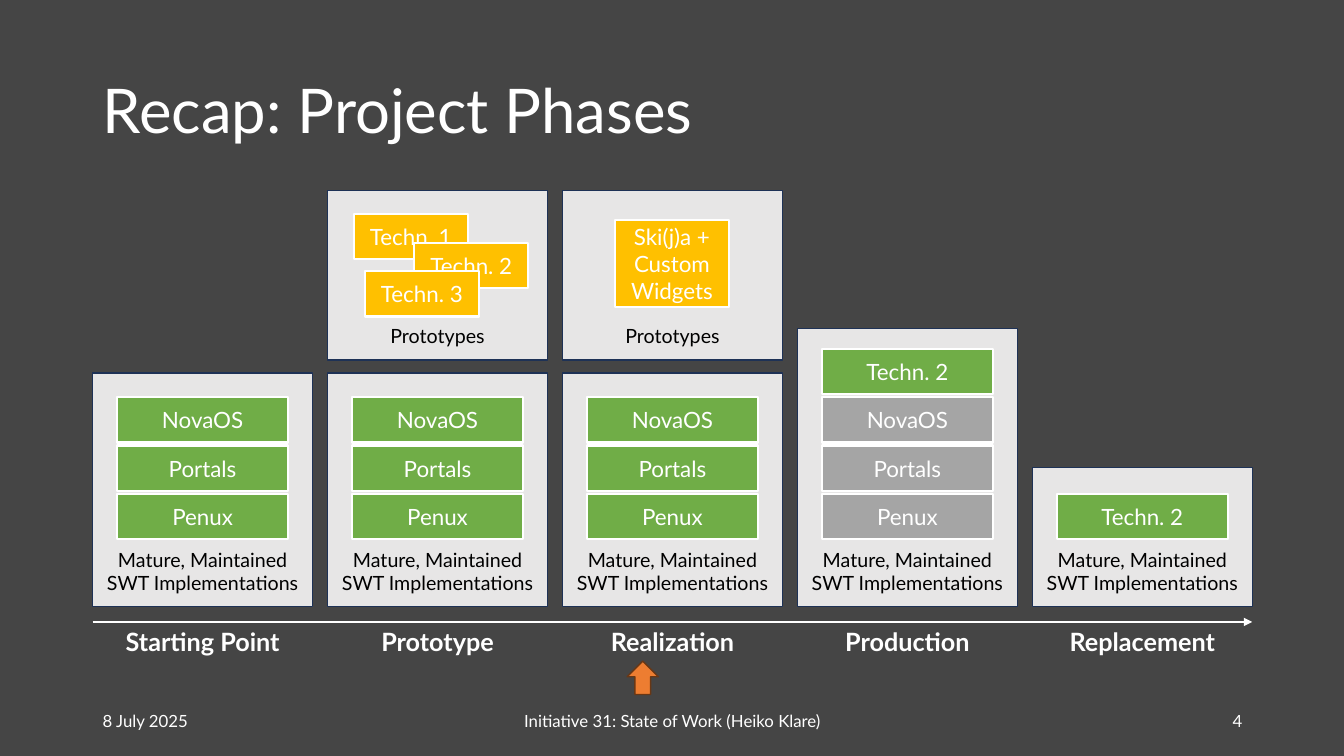
"""Build the project phases slide: five columns of cards above a time line."""
from lxml.etree import SubElement
from pptx import Presentation
from pptx.dml.color import RGBColor
from pptx.enum.shapes import MSO_CONNECTOR as Link, MSO_SHAPE as Kind
from pptx.enum.text import MSO_ANCHOR as Anchor, PP_ALIGN as Align
from pptx.oxml.ns import qn
from pptx.util import Inches, Pt

DARK = RGBColor(0x45, 0x45, 0x45)
WHITE = RGBColor(0xFF, 0xFF, 0xFF)
BLACK = RGBColor(0, 0, 0)
PALE = RGBColor(0xE7, 0xE6, 0xE6)
NAVY = RGBColor(0x1E, 0x32, 0x56)
GREEN = RGBColor(0x70, 0xAD, 0x47)
GOLD = RGBColor(0xFF, 0xC0, 0x00)
GRAY = RGBColor(0xA5, 0xA5, 0xA5)
ORANGE = RGBColor(0xED, 0x7D, 0x31)
BROWN = RGBColor(0x68, 0x37, 0x15)

LEFT, STEP, WIDE = 0.92, 2.33, 2.18
BASE, AXIS = 6.02, 6.17
BAR, TALL, ROW = 1.7, 0.45, 0.48
TECH = 1.13

deck = Presentation()
deck.slide_width, deck.slide_height = Inches(13.33), Inches(7.5)
slide = deck.slides.add_slide(deck.slide_layouts[5])
slide.background.fill.solid()
slide.background.fill.fore_color.rgb = DARK
shapes = slide.shapes


def write(shape, text, size, color=WHITE, align=Align.CENTER, bold=False, **frame):
    """Fill a shape with one paragraph of formatted text."""
    body = shape.text_frame
    for key, value in {"word_wrap": True, "vertical_anchor": Anchor.MIDDLE, **frame}.items():
        setattr(body, key, value)
    para = body.paragraphs[0]
    para.text, para.alignment = text, align
    for run in para.runs:
        run.font.color.rgb = color
        for key, value in {"name": "Lato", "size": Pt(size), "bold": bold}.items():
            setattr(run.font, key, value)


def draw(kind, area, fill, line, weight):
    """Add a filled and outlined shape without a shadow."""
    shape = shapes.add_shape(kind, *map(Inches, area))
    shape.shadow.inherit = False
    shape.fill.solid()
    shape.fill.fore_color.rgb = fill
    shape.line.color.rgb = line
    shape.line.width = Pt(weight)
    return shape


title = shapes.title
for key, value in {"left": LEFT, "top": 0.4, "width": 11.5, "height": 1.45}.items():
    setattr(title, key, Inches(value))
write(title, "Recap: Project Phases", 44, align=Align.LEFT)
title.text_frame.paragraphs[0].line_spacing = 0.9

for left, width, text, align in [
    (LEFT, 3, "8 July 2025", Align.LEFT),
    (4.42, 4.5, "Initiative 31: State of Work (Heiko Klare)", Align.CENTER),
    (9.42, 3, "4", Align.RIGHT),
]:
    foot = shapes.add_textbox(*map(Inches, (left, 6.95, width, 0.4)))
    write(foot, text, 12, align=align)

mature = "Mature, Maintained\nSWT Implementations"
trial = "Prototypes"
for col, top, high, text in [
    (0, 3.7, 2.32, mature),
    (1, 3.7, 2.32, mature),
    (2, 3.7, 2.32, mature),
    (3, 3.26, 2.76, mature),
    (4, 4.64, 1.38, mature),
    (1, 1.89, 1.68, trial),
    (2, 1.89, 1.68, trial),
]:
    card = draw(Kind.RECTANGLE, (LEFT + col * STEP, top, WIDE, high), PALE, NAVY, 1)
    write(card, text, 14, BLACK, vertical_anchor=Anchor.BOTTOM, margin_bottom=Inches(0.12))

systems = ["Penux", "Portals", "NovaOS"]
stacks = [
    [(name, GREEN) for name in systems],
    [(name, GREEN) for name in systems],
    [(name, GREEN) for name in systems],
    [(name, GRAY) for name in systems] + [("Techn. 2", GREEN)],
    [("Techn. 2", GREEN)],
]
for col, stack in enumerate(stacks):
    for row, (name, fill) in enumerate(stack):
        area = (LEFT + col * STEP + (WIDE - BAR) / 2, 4.9 - row * ROW, BAR, TALL)
        write(draw(Kind.RECTANGLE, area, fill, WHITE, 1.5), name, 16)

for left, top, high, name in [
    (3.51, 2.12, TALL, "Techn. 1"),
    (4.11, 2.41, TALL, "Techn. 2"),
    (3.62, 2.69, TALL, "Techn. 3"),
    (6.1, 2.18, 0.87, "Ski(j)a + Custom Widgets"),
]:
    write(draw(Kind.RECTANGLE, (left, top, TECH, high), GOLD, WHITE, 1.5), name, 16)

ends = map(Inches, (LEFT, AXIS, LEFT + 11.5, AXIS))
axis = shapes.add_connector(Link.STRAIGHT, *ends)
axis.line.color.rgb = WHITE
axis.line.width = Pt(1.5)
SubElement(axis.line._get_or_add_ln(), qn("a:tailEnd"), type="triangle")
SubElement(axis._element.spPr, qn("a:effectLst"))

phases = [
    ("Starting Point", 1.75),
    ("Prototype", 1.32),
    ("Realization", 1.49),
    ("Production", 1.47),
    ("Replacement", 1.74),
]
for col, (name, width) in enumerate(phases):
    left = LEFT + col * STEP + (WIDE - width) / 2
    label = shapes.add_textbox(*map(Inches, (left, 6.16, width, 0.4)))
    write(label, name, 18, bold=True, word_wrap=False, vertical_anchor=Anchor.TOP)

draw(Kind.UP_ARROW, (6.22, 6.56, 0.31, 0.33), ORANGE, BROWN, 1)

deck.save("out.pptx")
